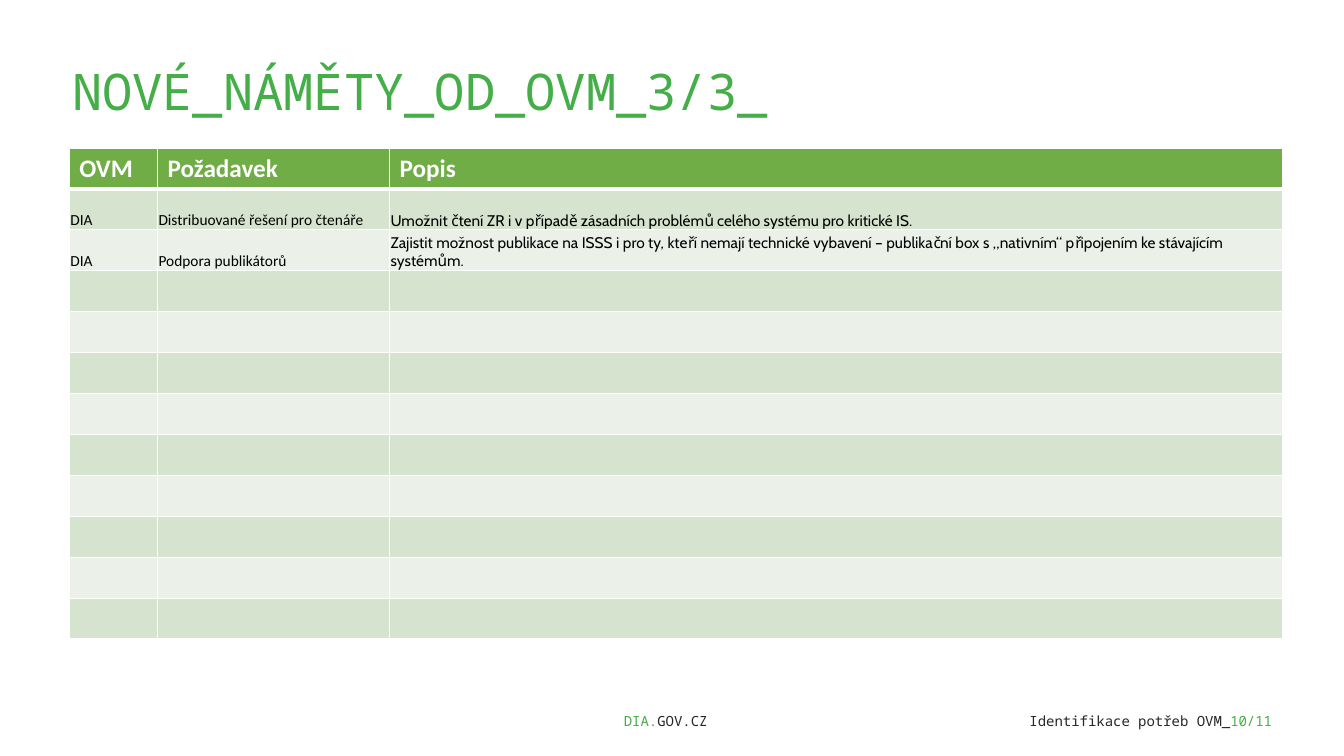
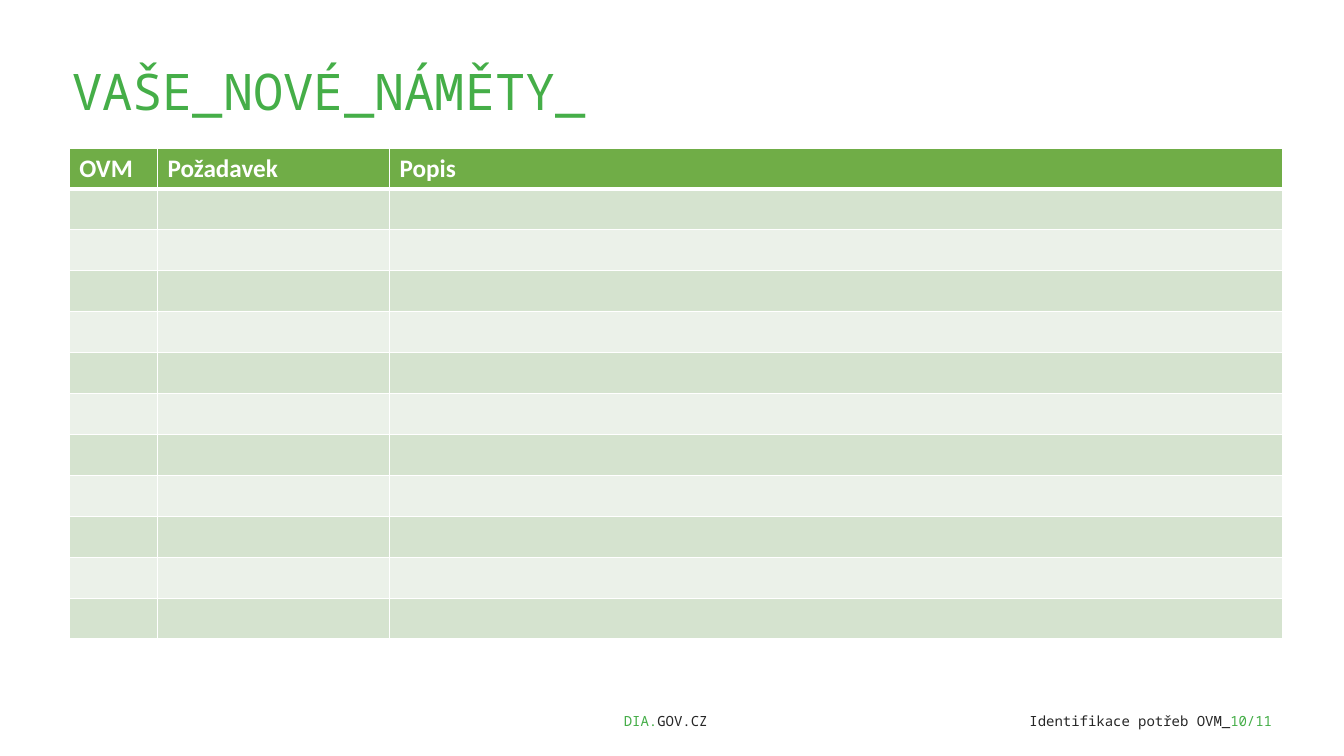
from dataclasses import dataclass

from lxml import etree
from pptx import Presentation
from pptx.dml.color import RGBColor
from pptx.enum.text import MSO_ANCHOR, MSO_AUTO_SIZE, PP_ALIGN
from pptx.oxml.ns import qn
from pptx.util import Pt

LEFT, CENTER, RIGHT = PP_ALIGN.LEFT, PP_ALIGN.CENTER, PP_ALIGN.RIGHT
TOP, BOTTOM = MSO_ANCHOR.TOP, MSO_ANCHOR.BOTTOM
NO_FIT = MSO_AUTO_SIZE.NONE

EMU_PER_PX = 9525
TITLE_ONLY = 5
GREEN, DARK, WHITE, BLACK = "45AE48", "262626", "FFFFFF", "000000"
HEADER_FILL, BANDS = "70AD47", ("D5E3CF", "EBF1E9")
MONO, SANS, BODY = "Noto Sans Mono", "Calibri", "Cabin"
HEADINGS = ("OVM", "Požadavek", "Popis")
COL_WIDTHS = (84, 221, 851)
ROW_COUNT, ROW_HEIGHT = 12, 39
TABLE_LEFT, TABLE_TOP = 66, 141
TITLE_BOX = (59, 52, 780, 146)


@dataclass(frozen=True)
class Style:
    size: int
    font: str
    color: str
    bold: bool = False


@dataclass(frozen=True)
class Footer:
    box: tuple[int, int, int, int]
    align: PP_ALIGN
    runs: tuple[tuple[str, str], ...]


@dataclass(frozen=True)
class TableSlide:
    title: str
    rows: tuple[tuple[str, str, str], ...] = ()


TITLE = Style(36, MONO, GREEN)
HEADER = Style(18, SANS, WHITE, True)
CELL_STYLES = (Style(11, SANS, BLACK), Style(11, SANS, BLACK), Style(11, BODY, BLACK))

FOOTERS = (
    Footer((871, 676, 350, 28), RIGHT,
           (("Identifikace potřeb OVM_", DARK), ("10/11", GREEN))),
    Footer((403, 676, 462, 28), CENTER, (("DIA.", GREEN), ("GOV.CZ", DARK))),
)

SLIDES = (
    TableSlide("NOVÉ_NÁMĚTY_OD_OVM_3/3_", (
        ("DIA", "Distribuované řešení pro čtenáře",
         "Umožnit čtení ZR i v případě zásadních problémů celého systému "
         "pro kritické IS."),
        ("DIA", "Podpora publikátorů",
         "Zajistit možnost publikace na ISSS i pro ty, kteří nemají technické "
         "vybavení – publikační box s „nativním“ připojením ke stávajícím "
         "systémům."),
    )),
    TableSlide("VAŠE_NOVÉ_NÁMĚTY_"),
)


def px(n: int) -> int:
    return n * EMU_PER_PX


def rgb(color: str) -> RGBColor:
    return RGBColor.from_string(color)


def set_attrs(obj, values: dict) -> None:
    for name, value in values.items():
        setattr(obj, name, value)


def add_run(p, text: str, style: Style) -> None:
    r = p.add_run()
    r.text = text
    set_attrs(r.font, {"size": Pt(style.size), "name": style.font, "bold": style.bold})
    r.font.color.rgb = rgb(style.color)


def add_title(s, text: str) -> None:
    sp = s.shapes.title
    set_attrs(sp, dict(zip(("left", "top", "width", "height"), map(px, TITLE_BOX))))
    tf = sp.text_frame
    set_attrs(tf, {"auto_size": NO_FIT, "word_wrap": True, "vertical_anchor": TOP})
    p = tf.paragraphs[0]
    p.alignment = LEFT
    add_run(p, text, TITLE)


def add_footer(s, footer: Footer) -> None:
    tf = s.shapes.add_textbox(*map(px, footer.box)).text_frame
    set_attrs(tf, {"word_wrap": True, "vertical_anchor": TOP})
    p = tf.paragraphs[0]
    set_attrs(p, {"alignment": footer.align, "line_spacing": 0.9})
    for text, color in footer.runs:
        add_run(p, text, Style(10, MONO, color))


def add_borders(cell, top: int, bottom: int) -> None:
    tc_pr = cell._tc.get_or_add_tcPr()
    for tag, width in (("a:lnL", 1), ("a:lnR", 1), ("a:lnT", top), ("a:lnB", bottom)):
        ln = etree.SubElement(tc_pr, qn(tag), w=str(Pt(width)))
        fill = etree.SubElement(ln, qn("a:solidFill"))
        etree.SubElement(fill, qn("a:srgbClr"), val=WHITE)


def format_cell(cell, row: int) -> None:
    add_borders(cell, 3 if row == 1 else 1, 3 if row == 0 else 1)
    cell.fill.solid()
    cell.fill.fore_color.rgb = rgb(BANDS[(row - 1) % 2] if row else HEADER_FILL)
    if row:
        set_attrs(cell, {"vertical_anchor": BOTTOM, "margin_left": px(1),
                         "margin_right": px(1), "margin_top": px(1),
                         "margin_bottom": 0})


def add_requests(s, rows: tuple[tuple[str, str, str], ...]) -> None:
    frame = s.shapes.add_table(ROW_COUNT, len(COL_WIDTHS), px(TABLE_LEFT), px(TABLE_TOP),
                               px(sum(COL_WIDTHS)), px(ROW_COUNT * ROW_HEIGHT))
    table = frame.table
    for column, width in zip(table.columns, COL_WIDTHS):
        column.width = px(width)
    texts = (HEADINGS, *rows)
    for i, row in enumerate(table.rows):
        row.height = px(ROW_HEIGHT)
        for j, cell in enumerate(row.cells):
            format_cell(cell, i)
            if i < len(texts):
                style = CELL_STYLES[j] if i else HEADER
                add_run(cell.text_frame.paragraphs[0], texts[i][j], style)


def main() -> None:
    prs = Presentation()
    set_attrs(prs, {"slide_width": px(1280), "slide_height": px(720)})
    for content in SLIDES:
        s = prs.slides.add_slide(prs.slide_layouts[TITLE_ONLY])
        add_title(s, content.title)
        for footer in FOOTERS:
            add_footer(s, footer)
        add_requests(s, content.rows)
    prs.save("out.pptx")


if __name__ == "__main__":
    main()
